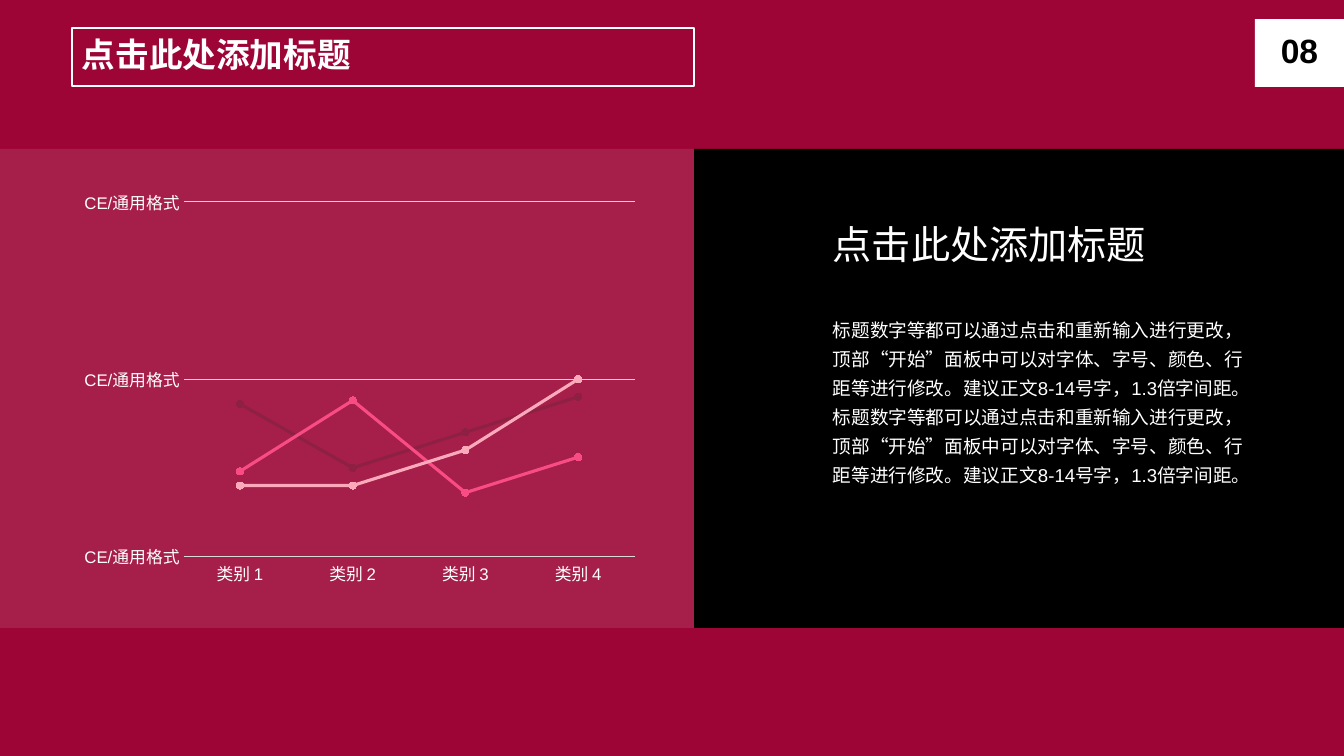
import pptx
import pptx.util
import pptx.dml.color
import pptx.chart.data
import pptx.enum.chart
import pptx.enum.lang
import pptx.enum.shapes
import pptx.enum.text
import lxml.etree

PX = 914400 / 100.8
FONT = "Arial"
WHITE, BLACK, RED, GREY = "FFFFFF", "000000", "9D0536", "D9D9D9"

HEAD = "点击此处添加标题"
HALF = ("标题数字等都可以通过点击和重新输入进行更改，顶部“开始”面板中可以对字体、"
        "字号、颜色、行距等进行修改。建议正文8-14号字，1.3倍字间距。")
CATS = ["类别 1", "类别 2", "类别 3", "类别 4"]
ROWS = [
    ("Series 1", [4.3, 2.5, 3.5, 4.5], "8E2143", "CE3F6D"),
    ("Series 2", [2.4, 4.4, 1.8, 2.8], "F94C84", "F94C84"),
    ("Series 3", [2, 2, 3, 5], "FBA9BB", "FBA9BB"),
]
TOP, TALL, SPLIT, WIDE = 149, 479, 694, 1344

ALIGN = pptx.enum.text.PP_ALIGN
ANCHOR = pptx.enum.text.MSO_ANCHOR


def rgb(code):
    return pptx.dml.color.RGBColor.from_string(code)


def px(*nums):
    return [round(n * PX) for n in nums]


def paint(fill, code):
    fill.solid()
    fill.fore_color.rgb = rgb(code)


def rule(line, code, size):
    paint(line.fill, code)
    line.width = pptx.util.Pt(size)


def box(slide, area, fill=None, line=None, alpha=None):
    shape = slide.shapes.add_shape(pptx.enum.shapes.MSO_SHAPE.RECTANGLE, *px(*area))
    shape.shadow.inherit = False
    if fill:
        paint(shape.fill, fill)
    else:
        shape.fill.background()
    if line:
        rule(shape.line, line, 1)
    else:
        shape.line.fill.background()
    if alpha:
        tint = shape.fill._xPr.find(".//" + pptx.oxml.ns.qn("a:srgbClr"))
        lxml.etree.SubElement(tint, pptx.oxml.ns.qn("a:alpha"), val=str(alpha * 1000))
    return shape


def write(shape, text, size, code=WHITE, bold=False, align=ALIGN.LEFT,
          anchor=ANCHOR.TOP, wrap=True, space=None, before=None):
    frame = shape.text_frame
    frame.word_wrap = wrap
    frame.vertical_anchor = anchor
    para = frame.paragraphs[0]
    para.alignment = align
    para.line_spacing = space
    if before:
        para.space_before = pptx.util.Pt(before)
    run = para.add_run()
    run.text = text
    font = run.font
    font.name, font.size, font.bold = FONT, pptx.util.Pt(size), bold
    font.color.rgb = rgb(code)
    font.language_id = pptx.enum.lang.MSO_LANGUAGE_ID.SIMPLIFIED_CHINESE


def style(font, size):
    font.name, font.size = FONT, pptx.util.Pt(size)
    font.color.rgb = rgb(WHITE)


def graph(slide, area):
    data = pptx.chart.data.CategoryChartData()
    data.categories = CATS
    for name, vals, line, dot in ROWS:
        data.add_series(name, vals)
    kind = pptx.enum.chart.XL_CHART_TYPE.LINE_MARKERS
    chart = slide.shapes.add_chart(kind, *px(*area), data).chart
    chart.has_legend = chart.has_title = False
    style(chart.font, 10)
    plot = chart.plots[0]
    plot.vary_by_categories = False
    for part, (name, vals, line, dot) in zip(plot.series, ROWS):
        part.smooth = False
        rule(part.format.line, line, 2.25)
        mark = part.marker
        mark.style = pptx.enum.chart.XL_MARKER_STYLE.CIRCLE
        mark.size = 5
        paint(mark.format.fill, dot)
        mark.format.line.fill.background()
    for axis in (chart.category_axis, chart.value_axis):
        axis.major_tick_mark = axis.minor_tick_mark = pptx.enum.chart.XL_TICK_MARK.NONE
        style(axis.tick_labels.font, 12)
    rule(chart.category_axis.format.line, GREY, 0.75)
    axis = chart.value_axis
    axis.format.line.fill.background()
    axis.minimum_scale, axis.maximum_scale, axis.major_unit = 0, 10, 5
    axis.has_major_gridlines = True
    rule(axis.major_gridlines.format.line, GREY, 0.75)
    axis.tick_labels.number_format = "G/通用格式"
    axis.tick_labels.number_format_is_linked = False


def main():
    deck = pptx.Presentation()
    deck.slide_width, deck.slide_height = px(WIDE, 756)
    slide = deck.slides.add_slide(deck.slide_layouts[6])
    paint(slide.background.fill, RED)

    label = dict(bold=True, anchor=ANCHOR.MIDDLE, space=0.9, before=10)
    write(box(slide, (72, 28, 622, 58), line=WHITE), HEAD, 24, **label)
    write(box(slide, (1255, 19, 89, 68), WHITE), "08", 24, BLACK,
          align=ALIGN.CENTER, **label)

    box(slide, (0, TOP, SPLIT, TALL), WHITE, alpha=10)
    graph(slide, (73, 181, 573, 413))
    box(slide, (SPLIT, TOP, WIDE - SPLIT, TALL), BLACK)

    body = slide.shapes.add_textbox(*px(823, 307, 432, 216))
    write(body, HALF * 2, 13.3, space=1.3)
    head = slide.shapes.add_textbox(*px(823, 215, 337, 57))
    write(head, HEAD, 28, wrap=False)

    deck.save("out.pptx")


if __name__ == "__main__":
    main()
